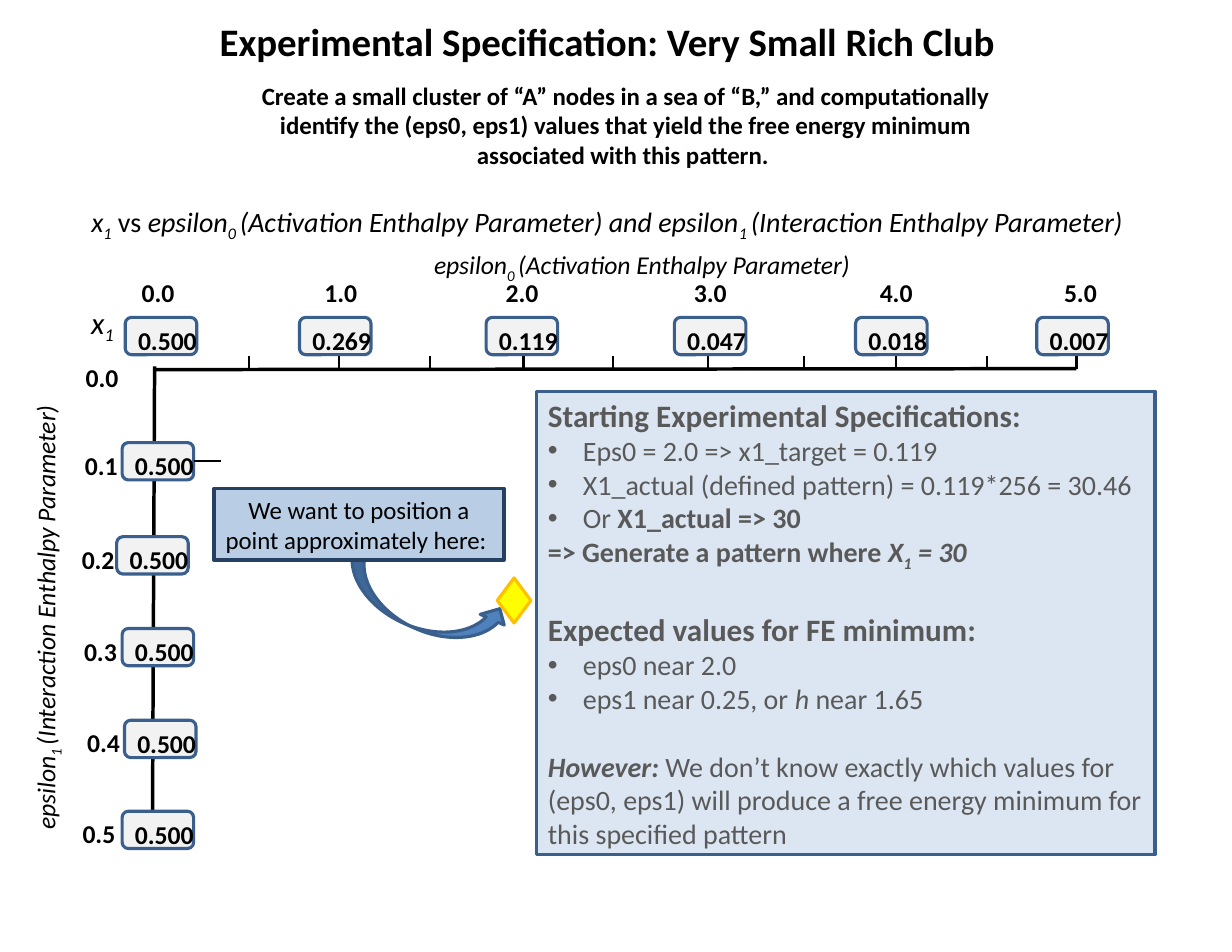
import lxml.etree
import pptx
import pptx.dml.color
import pptx.enum.shapes
import pptx.enum.text
import pptx.oxml.ns
import pptx.util

Pt = pptx.util.Pt
SHAPE = pptx.enum.shapes.MSO_SHAPE
ANCHOR = pptx.enum.text.MSO_ANCHOR
LEFT = pptx.enum.text.PP_ALIGN.LEFT
CENTER = pptx.enum.text.PP_ALIGN.CENTER
AUTO_SIZE = pptx.enum.text.MSO_AUTO_SIZE

WHITE, BLACK, GREY, BLUE_LINE = "FFFFFF", "000000", "595959", "3A5F8C"
BULLET_INDENT = 22.5


def color(hex_value):
    return pptx.dml.color.RGBColor.from_string(hex_value)


def add_element(parent, tag, **attributes):
    return lxml.etree.SubElement(parent, pptx.oxml.ns.qn(tag), **attributes)


class Board:
    """Holds the text style and the slide being drawn."""

    def __init__(self, slide, font="Calibri", label_size=16.5):
        self.slide = slide
        self.font = font
        self.label_size = label_size

    def add_runs(self, paragraph, runs, size, ink=BLACK, align=LEFT):
        """Add (text, flags) runs; flags are b(old), i(talic), s(ubscript)."""
        paragraph.alignment = align
        for text, flags in runs:
            run = paragraph.add_run()
            run.text = text
            run.font.name = self.font
            run.font.size = Pt(size)
            run.font.bold = "b" in flags
            run.font.italic = "i" in flags
            run.font.color.rgb = color(ink)
            if "s" in flags:
                run._r.get_or_add_rPr().set("baseline", "-25000")

    def paint(self, shape, fill, line, width=2):
        shape.fill.solid()
        shape.fill.fore_color.rgb = color(fill)
        shape.line.color.rgb = color(line)
        shape.line.width = Pt(width)

    def place(self, shape, left, top, width, height):
        shape.left, shape.top = Pt(left), Pt(top)
        shape.width, shape.height = Pt(width), Pt(height)

    def shape(self, kind, frame, fill, line, width=2, rotation=0):
        shape = self.slide.shapes.add_shape(kind, *map(Pt, frame))
        shape.shadow.inherit = False
        self.paint(shape, fill, line, width)
        shape.rotation = rotation
        return shape

    def caption(self, frame, runs, size, fill=WHITE, line=WHITE, width=2, rotation=0):
        box = self.shape(SHAPE.RECTANGLE, frame, fill, line, width, rotation)
        box.text_frame.vertical_anchor = ANCHOR.MIDDLE
        self.add_runs(box.text_frame.paragraphs[0], runs, size, align=CENTER)
        return box

    def pill(self, left, top, value):
        pill = self.shape(SHAPE.ROUNDED_RECTANGLE, (left, top, 46, 24), "F2F2F2", BLUE_LINE)
        frame = pill.text_frame
        frame.word_wrap = False
        frame.vertical_anchor = ANCHOR.TOP
        frame.margin_right = frame.margin_bottom = 0
        self.add_runs(frame.paragraphs[0], [(value, "b")], self.label_size)
        return pill

    def text(self, frame, runs, size, align=LEFT, wrap=True):
        box = self.slide.shapes.add_textbox(*map(Pt, frame))
        box.text_frame.word_wrap = wrap
        self.add_runs(box.text_frame.paragraphs[0], runs, size, align=align)

    def label(self, left, top, value):
        self.text((left, top, 36, 27), [(value, "b")], self.label_size, wrap=False)

    def line(self, x1, y1, x2, y2, width=1.5):
        line = self.slide.shapes.add_connector(
            pptx.enum.shapes.MSO_CONNECTOR.STRAIGHT, Pt(x1), Pt(y1), Pt(x2), Pt(y2))
        line.line.color.rgb = color(BLACK)
        line.line.width = Pt(width)
        add_element(line._element.spPr, "a:effectLst")
        return line

    def title(self, frame, text, size):
        title = self.slide.shapes.title
        self.place(title, *frame)
        title.text_frame.vertical_anchor = ANCHOR.TOP
        title.text_frame.auto_size = AUTO_SIZE.NONE
        self.add_runs(title.text_frame.paragraphs[0], [(text, "b")], size)

    def panel(self, frame, fill, line, entries):
        """Fill the body placeholder with (bulleted, space before, size, runs) entries."""
        body = self.slide.placeholders[1]
        self.place(body, *frame)
        self.paint(body, fill, line)
        content = body.text_frame
        content.auto_size = AUTO_SIZE.NONE
        content.vertical_anchor = ANCHOR.MIDDLE
        for index, (bulleted, gap, size, runs) in enumerate(entries):
            paragraph = content.paragraphs[0] if index == 0 else content.add_paragraph()
            properties = paragraph._p.get_or_add_pPr()
            indent = Pt(BULLET_INDENT) if bulleted else 0
            properties.set("marL", str(indent))
            properties.set("indent", str(-indent))
            if bulleted:
                add_element(properties, "a:buFont", typeface="Arial")
                add_element(properties, "a:buChar", char="•")
            else:
                add_element(properties, "a:buNone")
            paragraph.space_before = Pt(gap)
            self.add_runs(paragraph, runs, size, GREY)


# value, label left, pill left, x1 value
EPSILON_0 = [
    ("0.0", 84, 80.5, "0.500"), ("1.0", 201.5, 192.5, "0.269"),
    ("2.0", 318, 312.5, "0.119"), ("3.0", 439, 433.5, "0.047"),
    ("4.0", 558.5, 550, "0.018"), ("5.0", 677, 666.5, "0.007"),
]
# value, label left, pill left, pill top
EPSILON_1 = [
    ("0.1", 47.5, 78.5, 284.5), ("0.2", 45.5, 75, 345), ("0.3", 47, 78.5, 404),
    ("0.4", 49, 80, 463), ("0.5", 46, 78.5, 521.5),
]
MAJOR_TICKS = [218, 336.5, 455, 576, 692]
MINOR_TICKS = [160, 276.5, 394, 517, 634.5]
AXIS_Y = 237

ACTIVATION = [("epsilon", "i"), ("0 ", "is"), ("(Activation Enthalpy Parameter) ", "i")]
INTERACTION = [("epsilon", "i"), ("1 ", "is"), ("(Interaction Enthalpy Parameter) ", "i")]
HEADING = [("x", "i"), ("1", "is"), (" vs ", ""), *ACTIVATION, ("and ", "i"), *INTERACTION]

SPECIFICATIONS = [
    (False, 0, 20, [("Starting Experimental Specifications:", "b")]),
    (True, 0, 18, [("Eps0 = 2.0 => x1_target = 0.119", "")]),
    (True, 0, 18, [("X1_actual (defined pattern) = 0.119*256 = 30.46", "")]),
    (True, 0, 18, [("Or ", ""), ("X1_actual => 30", "b")]),
    (False, 0, 18, [("=> Generate a pattern where ", "b"), ("X", "bi"), ("1", "bis"),
                    (" = 30", "bi")]),
    (False, 24.4, 20, [("Expected values for FE minimum:", "b")]),
    (True, 0, 18, [("eps0 near 2.0", "")]),
    (True, 0, 18, [("eps1 near 0.25, or ", ""), ("h", "i"), (" near 1.65", "")]),
    (False, 22, 18, [("However: ", "bi"),
                     ("We don’t know exactly which values for (eps0, eps1) will produce "
                      "a free energy minimum for this specified pattern", "")]),
]


def main():
    deck = pptx.Presentation()
    deck.slide_width, deck.slide_height = Pt(792), Pt(612)
    board = Board(deck.slides.add_slide(deck.slide_layouts[1]))

    board.title((134, 8, 525, 37.5), "Experimental Specification: Very Small Rich Club", 25)
    board.panel((345, 251.5, 397.5, 298), "DCE6F2", BLUE_LINE, SPECIFICATIONS)
    board.shape(SHAPE.CURVED_UP_ARROW, (216.7, 370.8, 110.2, 33.8), "4F81BD", BLUE_LINE,
                rotation=24.1)
    board.caption((15, 128, 754.5, 31), HEADING, 18)
    board.caption((270, 156, 289, 31), ACTIVATION, board.label_size)
    x_label = board.caption((46, 193, 39.6, 31), [("x", "i"), ("1", "is")], 19.8, rotation=90)
    x_label.text_frame._txBody.bodyPr.set("vert", "vert270")
    board.caption((-120.2, 379.5, 301, 31), INTERACTION, board.label_size, rotation=270)

    board.line(99.4, 235.5, 98, 534, width=2.25)
    board.line(692, AXIS_Y, 100, 237.6, width=2.25)
    for ticks, length in ((MAJOR_TICKS, 15.5), (MINOR_TICKS, 8)):
        for x in ticks:
            board.line(x, AXIS_Y, x, AXIS_Y - length)

    for value, label_left, pill_left, x1 in EPSILON_0:
        board.label(label_left, 174.5, value)
        board.pill(pill_left, 204, x1)

    board.label(48, 229, "0.0")
    row_pills = []
    for value, label_left, pill_left, top in EPSILON_1:
        board.label(label_left, top + 1, value)
        row_pills.append(board.pill(pill_left, top, "0.500"))
    board.line(124.5, 296.5, 142, 296.5).begin_connect(row_pills[0], 3)

    board.text((158.5, 48, 487.5, 65.5), [(
        "Create a small cluster of “A” nodes in a sea of “B,” and computationally identify "
        "the (eps0, eps1) values that yield the free energy minimum associated with this "
        "pattern. ", "b")], 16, CENTER)
    board.caption((137.5, 314, 186.5, 46), [
        ("We want to position a point approximately here: ", "")], 16,
        "B9CDE5", "254061", 2.25)
    board.shape(SHAPE.DIAMOND, (319.7, 371.5, 21.6, 29), "FFFF00", "FFC000")

    deck.save("out.pptx")


if __name__ == "__main__":
    main()
